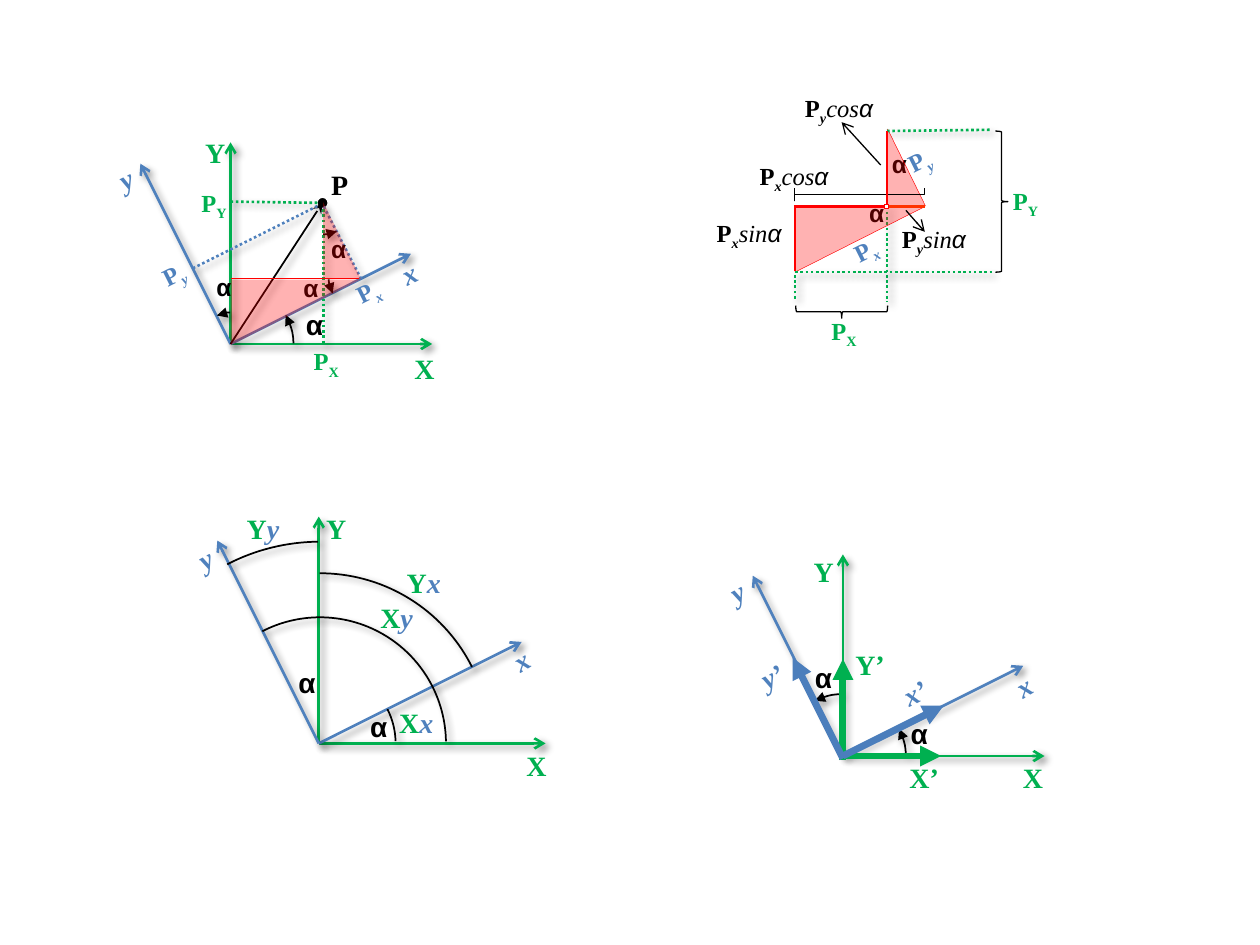
from math import atan, cos, sin

from lxml.etree import SubElement
from pptx import Presentation
from pptx.dml.color import RGBColor
from pptx.enum.dml import MSO_LINE
from pptx.enum.shapes import MSO_CONNECTOR, MSO_SHAPE
from pptx.enum.text import MSO_AUTO_SIZE, PP_ALIGN
from pptx.oxml.ns import qn
from pptx.util import Inches, Pt

GREEN, BLUE, DEEP_BLUE = "00B050", "4F81BD", "4B7EBC"
BLACK, WHITE, RED, ORANGE = "000000", "FFFFFF", "FF0000", "FF3300"
TILT = atan(0.5)


def color(value):
    """Turn a hex string into a colour."""
    return RGBColor.from_string(value)


class Sketch:
    """Draws axes, arcs, labels and markers on one slide."""

    def __init__(self, slide):
        self.shapes = slide.shapes

    def stroke(self, item, hue, width, head=None, tail=None, dotted=False, shadow=False):
        """Style the outline of a shape or line."""
        item.line.color.rgb = color(hue)
        item.line.width = Pt(width)
        if dotted:
            item.line.dash_style = MSO_LINE.ROUND_DOT
        properties = item.element.spPr
        outline = properties.find(qn("a:ln"))
        for tag, kind in (("a:headEnd", head), ("a:tailEnd", tail)):
            if kind:
                SubElement(outline, qn(tag), type=kind)
        effects = properties.find(qn("a:effectLst"))
        if effects is None:
            effects = SubElement(properties, qn("a:effectLst"))
        if shadow:
            outer = SubElement(effects, qn("a:outerShdw"), blurRad="50800", dist="38100",
                               dir="2700000", algn="tl", rotWithShape="0")
            black = SubElement(outer, qn("a:srgbClr"), val=BLACK)
            SubElement(black, qn("a:alpha"), val="40000")

    def line(self, start, end, hue, width=1.5, **style):
        """Draw a straight line or arrow."""
        ends = [Inches(value) for value in (*start, *end)]
        self.stroke(self.shapes.add_connector(MSO_CONNECTOR.STRAIGHT, *ends), hue, width, **style)

    def dots(self, start, end, hue=GREEN):
        """Draw a dotted projection line."""
        self.line(start, end, hue, dotted=True, shadow=True)

    def shape(self, kind, box, fill=None, alpha=None, edge=None, width=0.25,
              rotation=0, flip=None, adjust=(), **style):
        """Draw a preset shape."""
        item = self.shapes.add_shape(kind, *[Inches(value) for value in box])
        item.shadow.inherit = False
        item.rotation = rotation
        for index, value in enumerate(adjust):
            item.adjustments[index] = value
        if flip:
            item.element.spPr.find(qn("a:xfrm")).set(flip, "1")
        if fill:
            item.fill.solid()
            item.fill.fore_color.rgb = color(fill)
            if alpha:
                tint = item.element.spPr.find(qn("a:solidFill")).find(qn("a:srgbClr"))
                SubElement(tint, qn("a:alpha"), val=str(alpha * 1000))
        else:
            item.fill.background()
        if edge:
            self.stroke(item, edge, width, **style)
        else:
            item.line.fill.background()

    def arc(self, center, radius, start, end, head=None):
        """Draw an angle arc between two angles in degrees."""
        x, y = center
        self.shape(MSO_SHAPE.ARC, (x - radius, y - radius, 2 * radius, 2 * radius), edge=BLACK,
                   width=1, adjust=(start * 0.6, end * 0.6), head=head, shadow=True)

    def label(self, x, y, width, *parts, size=16, rotation=0, centered=False):
        """Write parts of (text, hue, flags): b bold, i italic, _ subscript."""
        height = 0.37 if size == 16 else 0.34
        box = self.shapes.add_textbox(Inches(x), Inches(y), Inches(width), Inches(height))
        box.rotation = rotation
        frame = box.text_frame
        frame.word_wrap = centered
        frame.auto_size = MSO_AUTO_SIZE.SHAPE_TO_FIT_TEXT
        paragraph = frame.paragraphs[0]
        if centered:
            paragraph.alignment = PP_ALIGN.CENTER
        for text, hue, flags in parts:
            run = paragraph.add_run()
            run.text = text
            font = run.font
            font.size = Pt(size)
            font.name = "Arial" if text == "α" else "Times New Roman"
            font.color.rgb = color(hue)
            font.bold = "b" in flags
            font.italic = "i" in flags
            if "_" in flags:
                run.font._element.set("baseline", "-25000")

    def alpha(self, x, y, size=14, centered=True):
        """Write the angle name."""
        self.label(x, y, 0.27 if centered else 0.34, ("α", BLACK, "b"), size=size, centered=centered)

    def component(self, x, y, axis):
        """Write P with the axis as subscript."""
        fixed = axis.isupper()
        hue = GREEN if fixed else BLUE
        self.label(x, y, 0.42 if fixed else 0.39, ("P", hue, "b"), (axis, hue, "b_" if fixed else "bi_"),
                   size=14, rotation=0 if fixed else 333.4)

    def product(self, x, y, width, axis, function):
        """Write a component times a function of the angle."""
        self.label(x, y, width, ("P", BLACK, "b"), (axis, BLACK, "bi_"),
                   (function, BLACK, "i"), ("α", BLACK, "i"), size=14)

    def axes(self, origin, length, names, turns):
        """Draw the fixed and the turned axes with their names."""
        x, y = origin
        long, short = length * cos(TILT), length * sin(TILT)
        for dx, dy, hue in ((length, 0, GREEN), (0, -length, GREEN),
                            (long, -short, BLUE), (-short, -long, BLUE)):
            self.line(origin, (x + dx, y + dy), hue, tail="arrow", shadow=True)
        for name, place in names.items():
            fixed = name.isupper()
            self.label(*place, 0.36 if fixed else 0.31, (name, GREEN if fixed else BLUE, "b" if fixed else "bi"),
                       rotation=turns.get(name, 0))


def draw_projection(sketch):
    """Draw the point and its projections on both axis pairs."""
    origin = (1.83, 2.73)
    sketch.axes(origin, 1.6, {"Y": (1.53, 1.03), "X": (3.19, 2.74), "x": (3.09, 1.99), "y": (0.85, 1.23)},
                {"x": 333.6, "y": 334})
    sketch.label(2.53, 1.28, 0.34, ("P", BLACK, "b"))
    sketch.shape(MSO_SHAPE.OVAL, (2.51, 1.56, 0.1, 0.1), BLACK, edge=WHITE, width=1.5, rotation=333.2)
    sketch.line(origin, (2.56, 1.61), BLACK, 1, tail="stealth", shadow=True)
    sketch.dots((2.57, 1.64), (2.87, 2.22), BLUE)
    sketch.dots((1.53, 2.13), (2.53, 1.63), BLUE)
    sketch.dots((1.83, 1.6), (2.53, 1.61))
    sketch.dots((2.57, 1.66), (2.57, 2.73))
    for center, radius, start, end in (((1.83, 2.74), 0.5, 331.2, 358.3), ((2.57, 1.61), 0.25, 65.3, 91.3),
                                       ((1.83, 2.73), 0.25, 244.4, 269.2), ((2.86, 2.21), 0.25, 151.2, 178)):
        sketch.arc(center, radius, start, end, head="triangle")
    sketch.alpha(2.33, 2.39, 16)
    for place in ((2.53, 1.81), (1.62, 2.11), (2.31, 2.12)):
        sketch.alpha(*place)
    for x, y, axis in ((2.39, 2.7, "X"), (1.19, 2, "y"), (1.5, 1.44, "Y"), (2.73, 2.14, "x")):
        sketch.component(x, y, axis)
    draw_triangles(sketch, (1.83, 2.22), (2.41, 1.76))
    sketch.line((2.85, 2.21), (1.83, 2.21), RED, 0.25)


def draw_triangles(sketch, wide, tall, edge=None):
    """Draw the two similar triangles."""
    for box, rotation in (((*wide, 1.03, 0.52), 0), ((*tall, 0.61, 0.3), 270)):
        sketch.shape(MSO_SHAPE.RIGHT_TRIANGLE, box, RED, 30, edge, rotation=rotation, flip="flipV")


def draw_components(sketch):
    """Draw the triangles with the lengths of their sides."""
    sketch.dots((7.04, 1.64), (7.04, 2.4))
    sketch.alpha(6.98, 1.13)
    sketch.alpha(6.8, 1.52)
    draw_triangles(sketch, (6.31, 1.64), (6.89, 1.18), RED)
    for x, y, axis in ((6.5, 2.46, "X"), (7.94, 1.43, "Y"), (6.68, 1.81, "x"), (7.11, 1.1, "y")):
        sketch.component(x, y, axis)
    for x, y, width, axis, function in ((5.93, 1.23, 0.77, "x", "cos"), (7.06, 1.73, 0.73, "y", "sin"),
                                        (5.59, 1.68, 0.74, "x", "sin"), (6.29, 0.69, 0.77, "y", "cos")):
        sketch.product(x, y, width, axis, function)
    sketch.line((7.19, 1.67), (7.34, 1.84), BLACK, 0.75, tail="arrow")
    sketch.line((6.68, 0.97), (6.99, 1.31), BLACK, 0.75, head="arrow")
    sketch.shape(MSO_SHAPE.LEFT_BRACE, (6.77, 1.03, 0.1, 1.03), edge=BLACK, rotation=90,
                 flip="flipH", adjust=(0.083, 1))
    sketch.shape(MSO_SHAPE.RIGHT_BRACE, (6.63, 2.11, 0.1, 0.73), edge=BLACK, width=0.75, rotation=90)
    sketch.shape(MSO_SHAPE.LEFT_BRACE, (7.9, 1.04, 0.1, 1.12), edge=BLACK, width=0.75, flip="flipH")
    for start, end in (((6.31, 2.16), (7.87, 2.16)), ((7.04, 1.04), (7.87, 1.03)), ((6.31, 2.37), (6.31, 2.17))):
        sketch.dots(start, end)
    for start, end, hue in (((6.31, 1.64), (6.31, 2.15), RED), ((7.04, 1.04), (7.04, 1.63), RED),
                            ((6.3, 1.64), (7.03, 1.64), RED), ((7.05, 1.64), (7.34, 1.64), ORANGE)):
        sketch.line(start, end, hue)
    sketch.shape(MSO_SHAPE.RECTANGLE, (7.02, 1.62, 0.03, 0.03), WHITE, edge=RED)


def draw_angles(sketch):
    """Draw the angles between each pair of axes."""
    sketch.axes((2.53, 5.9), 1.8, {"Y": (2.49, 4.01), "X": (4.08, 5.89), "x": (3.98, 5.06), "y": (1.48, 4.25)},
                {"x": 328.8, "y": 331.5})
    for radius, start, end in ((0.6, 333.1, 358.3), (1, 242.8, 359.1), (1.35, 269.9, 333.3), (1.6, 242.6, 269.4)):
        sketch.arc((2.54, 5.9), radius, start, end)
    sketch.alpha(2.84, 5.58, 16, False)
    sketch.alpha(2.27, 5.23, 16, False)
    for x, y, fixed, turned in ((3.07, 5.55, "X", "x"), (2.92, 4.72, "X", "y"),
                                (3.13, 4.44, "Y", "x"), (1.86, 4.01, "Y", "y")):
        sketch.label(x, y, 0.47, (fixed, GREEN, "b"), (turned, BLUE, "bi"))


def draw_unit_vectors(sketch):
    """Draw the unit vectors along all axes."""
    sketch.axes((6.69, 6), 1.6, {"Y": (6.36, 4.35), "X": (8.02, 5.99), "x": (7.97, 5.26), "y": (5.7, 4.51)},
                {"x": 328.8, "y": 331.5})
    for start, end in ((333.1, 358.3), (243.4, 269.9)):
        sketch.arc((6.69, 6.01), 0.5, start, end, head="triangle")
    sketch.alpha(7.13, 5.64, 16, False)
    sketch.alpha(6.37, 5.19, 16, False)
    for start, end, hue in (((6.67, 6), (7.47, 6), GREEN), ((6.69, 6.03), (6.69, 5.23), GREEN),
                            ((6.69, 6), (7.49, 5.6), DEEP_BLUE), ((6.69, 6.02), (6.29, 5.22), DEEP_BLUE)):
        sketch.line(start, end, hue, 4, tail="triangle")
    for x, y, width, name, hue, flags, turn in (
            (7.07, 5.31, 0.39, "x’", BLUE, "bi", 333.5), (5.94, 5.18, 0.38, "y’", BLUE, "bi", 333),
            (7.12, 5.99, 0.44, "X’", GREEN, "b", 0), (6.69, 5.09, 0.44, "Y’", GREEN, "b", 0)):
        sketch.label(x, y, width, (name, hue, flags), rotation=turn)


deck = Presentation()
deck.slide_width, deck.slide_height = Inches(10), Inches(7.5)
sketch = Sketch(deck.slides.add_slide(deck.slide_layouts[6]))
for draw in (draw_projection, draw_components, draw_angles, draw_unit_vectors):
    draw(sketch)
deck.save("out.pptx")
